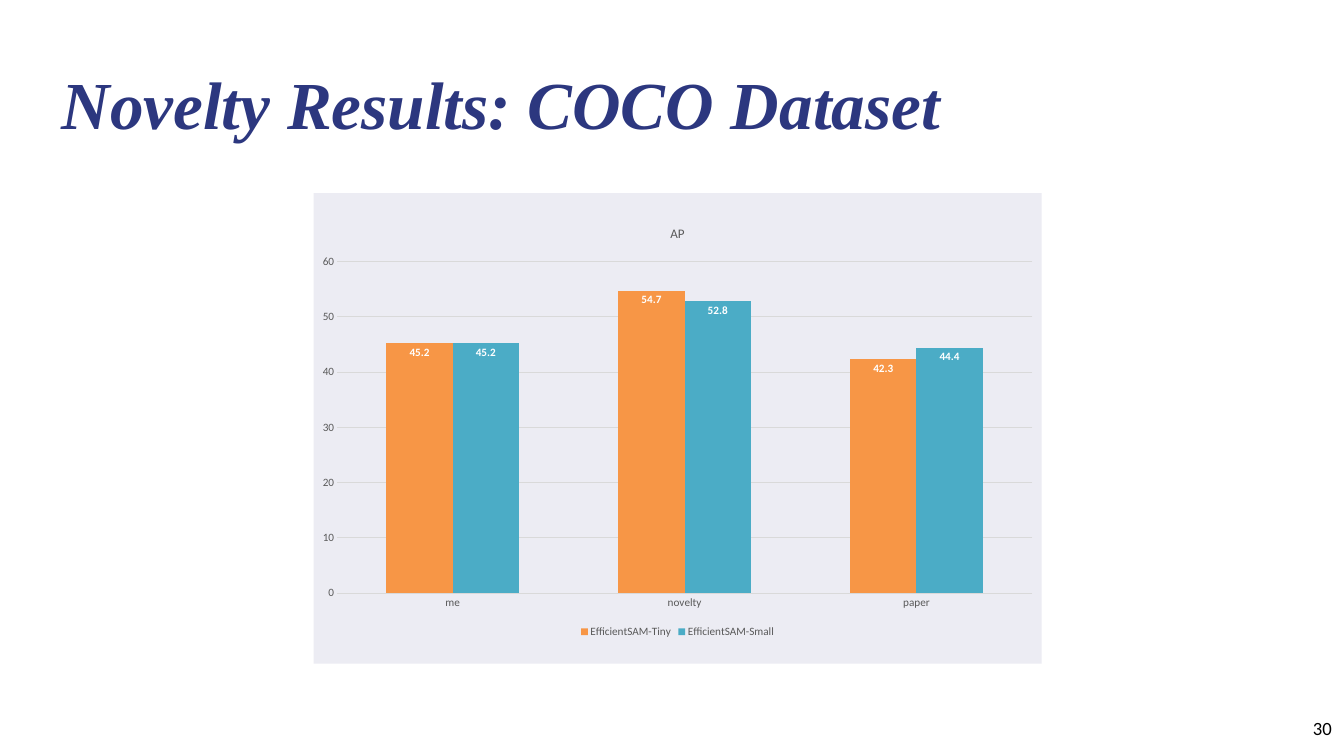
from pptx import Presentation
from pptx.chart.data import CategoryChartData
from pptx.dml.color import RGBColor
from pptx.enum.chart import XL_CHART_TYPE, XL_LABEL_POSITION, XL_LEGEND_POSITION, XL_TICK_MARK
from pptx.enum.shapes import MSO_SHAPE
from pptx.enum.text import MSO_ANCHOR, MSO_AUTO_SIZE, PP_ALIGN
from pptx.util import Pt

CLUSTERED = XL_CHART_TYPE.COLUMN_CLUSTERED
INSIDE_END = XL_LABEL_POSITION.INSIDE_END
LEGEND_BOTTOM = XL_LEGEND_POSITION.BOTTOM
NO_TICK = XL_TICK_MARK.NONE
RECTANGLE = MSO_SHAPE.RECTANGLE
TOP, MIDDLE = MSO_ANCHOR.TOP, MSO_ANCHOR.MIDDLE
LEFT, RIGHT = PP_ALIGN.LEFT, PP_ALIGN.RIGHT
FIT_SHAPE = MSO_AUTO_SIZE.SHAPE_TO_FIT_TEXT

NAVY, PANEL, GREY, GRID = "2C377F", "ECECF3", "595959", "D9D9D9"
WHITE, BLACK = "FFFFFF", "000000"
CATEGORIES = ["me", "novelty", "paper"]
SERIES = [
    ("EfficientSAM-Tiny", (45.2, 54.7, 42.3), "F79646"),
    ("EfficientSAM-Small", (45.2, 52.8, 44.4), "4BACC6"),
]


def color(hex_code):
    return RGBColor.from_string(hex_code)


def format_font(font, size, hex_code, name="Calibri", bold=False, italic=False):
    font.name = name
    font.size = Pt(size)
    font.bold = bold
    font.italic = italic
    font.color.rgb = color(hex_code)


def add_title(slide, text):
    title = slide.shapes.title
    title.left, title.top, title.width, title.height = Pt(66), Pt(63), Pt(1122), Pt(89)
    frame = title.text_frame
    frame.margin_left = frame.margin_right = frame.margin_top = frame.margin_bottom = 0
    frame.word_wrap = True
    frame.auto_size = FIT_SHAPE
    frame.vertical_anchor = TOP
    paragraph = frame.paragraphs[0]
    paragraph.alignment = LEFT
    paragraph.line_spacing = Pt(90)
    run = paragraph.add_run()
    run.text = text
    format_font(run.font, 72, NAVY, "Times New Roman", bold=True, italic=True)


def add_panel(slide):
    panel = slide.shapes.add_shape(RECTANGLE, Pt(336), Pt(207), Pt(780), Pt(504))
    panel.shadow.inherit = False
    panel.fill.solid()
    panel.fill.fore_color.rgb = color(PANEL)
    panel.line.fill.background()


def add_page_number(slide, number):
    box = slide.shapes.add_textbox(Pt(1266), Pt(766), Pt(168), Pt(29))
    frame = box.text_frame
    frame.word_wrap = True
    frame.vertical_anchor = MIDDLE
    paragraph = frame.paragraphs[0]
    paragraph.alignment = RIGHT
    run = paragraph.add_run()
    run.text = number
    format_font(run.font, 20, BLACK)


def format_axis(axis):
    axis.major_tick_mark = axis.minor_tick_mark = NO_TICK
    format_font(axis.tick_labels.font, 12, GREY)


def format_series(series, hex_code):
    series.format.fill.solid()
    series.format.fill.fore_color.rgb = color(hex_code)
    series.invert_if_negative = False
    labels = series.data_labels
    labels.show_value = True
    labels.position = INSIDE_END
    format_font(labels.font, 12, WHITE, bold=True)


def add_column_chart(slide):
    data = CategoryChartData()
    data.categories = CATEGORIES
    for name, values, _ in SERIES:
        data.add_series(name, values)
    frame = slide.shapes.add_chart(CLUSTERED, Pt(330), Pt(225), Pt(792), Pt(462), data)
    chart = frame.chart
    format_font(chart.font, 10, BLACK)

    chart.has_title = True
    run = chart.chart_title.text_frame.paragraphs[0].add_run()
    run.text = "AP"
    format_font(run.font, 14, GREY)
    chart.chart_title.include_in_layout = False

    chart.has_legend = True
    chart.legend.position = LEGEND_BOTTOM
    chart.legend.include_in_layout = False
    format_font(chart.legend.font, 12, GREY)

    for axis in (chart.category_axis, chart.value_axis):
        format_axis(axis)
    chart.category_axis.format.line.color.rgb = color(GRID)
    value_axis = chart.value_axis
    value_axis.format.line.fill.background()
    value_axis.minimum_scale, value_axis.maximum_scale = 0, 60
    value_axis.major_unit = 10
    grid_line = value_axis.major_gridlines.format.line
    grid_line.color.rgb = color(GRID)
    grid_line.width = Pt(0.75)

    plot = chart.plots[0]
    plot.gap_width = 150
    plot.overlap = 0
    plot.vary_by_categories = False
    for series, (_, _, hex_code) in zip(plot.series, SERIES):
        format_series(series, hex_code)


def main():
    presentation = Presentation()
    presentation.slide_width, presentation.slide_height = Pt(1440), Pt(810)
    slide = presentation.slides.add_slide(presentation.slide_layouts[5])
    add_panel(slide)
    add_title(slide, "Novelty Results: COCO Dataset")
    add_page_number(slide, "30")
    add_column_chart(slide)
    presentation.save("out.pptx")


if __name__ == "__main__":
    main()
